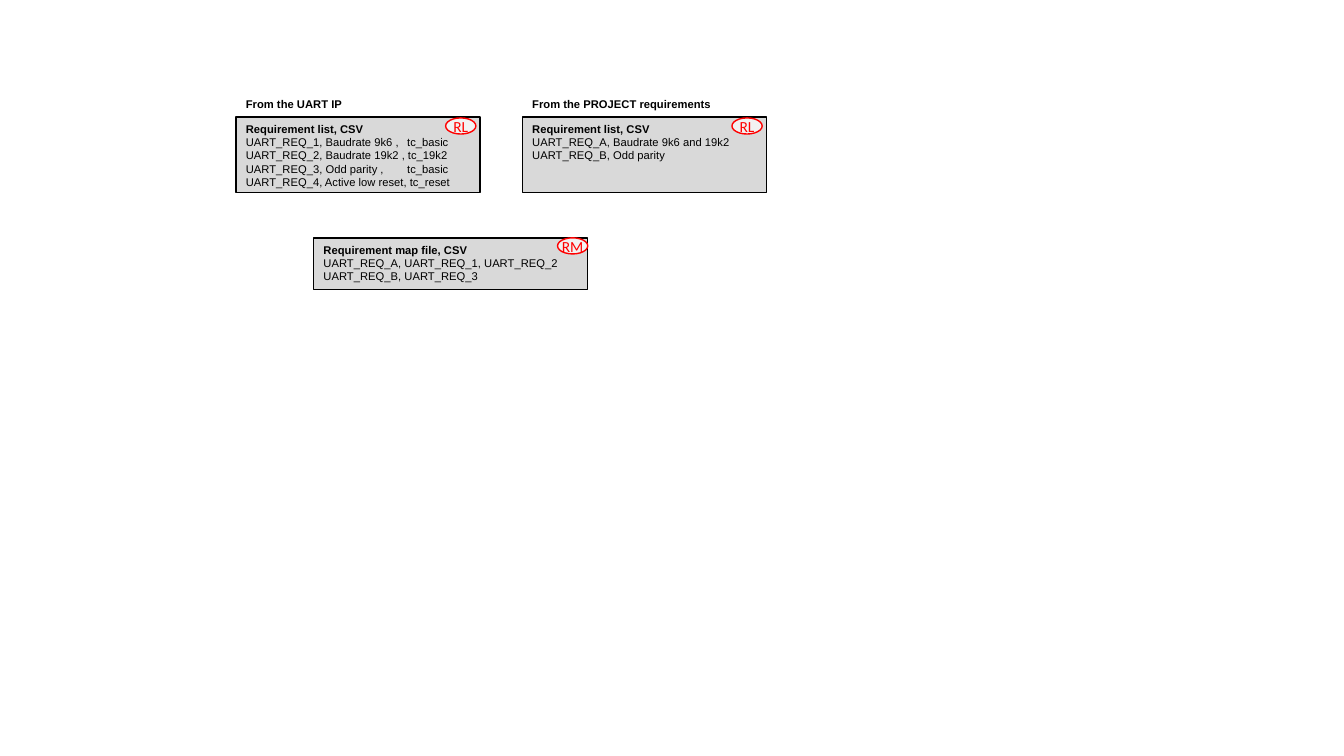
from dataclasses import dataclass
from lxml.etree import SubElement as Sub
from pptx import Presentation
from pptx.dml.color import RGBColor as Rgb
from pptx.enum.shapes import MSO_SHAPE as Form
from pptx.enum.text import MSO_ANCHOR as Anchor, PP_ALIGN as Align
from pptx.oxml.ns import qn
from pptx.util import Inches, Pt


@dataclass(frozen=True)
class Theme:
    ink: str = "000000"
    panel: str = "D9D9D9"
    badge: str = "F2F2F2"
    mark: str = "FF0000"
    body: str = "Arial"
    tag: str = "Calibri"
    small: int = 8
    large: int = 11
    edge: int = 1
    cell: float = 0.1


class Board:
    def __init__(self, slide, theme):
        self.slide, self.theme = slide, theme

    def area(self, *cells):
        return [Inches(n * self.theme.cell) for n in cells]

    def font(self, para, name, size, color, bold=False):
        font = para.font
        font.name, font.size, font.bold = name, Pt(size), bold
        font.color.rgb = Rgb.from_string(color)

    def shape(self, form, place, fill, line):
        item = self.slide.shapes.add_shape(form, *self.area(*place))
        item.shadow.inherit = False
        item.fill.solid()
        item.fill.fore_color.rgb = Rgb.from_string(fill)
        item.line.color.rgb = Rgb.from_string(line)
        item.line.width = Pt(self.theme.edge)
        return item.text_frame

    def stop(self, para, col):
        props = para._p.get_or_add_pPr()
        tabs = Sub(props, qn("a:tabLst"))
        Sub(tabs, qn("a:tab"), pos=str(self.area(col)[0]), algn="l")

    def panel(self, place, title, rows, col=16):
        look = self.theme
        frame = self.shape(Form.RECTANGLE, place, look.panel, look.ink)
        frame.word_wrap = True
        frame.vertical_anchor = Anchor.TOP
        for i, text in enumerate([title, *rows]):
            para = frame.add_paragraph() if i else frame.paragraphs[0]
            if "\t" in text:
                self.stop(para, col)
            para.add_run().text = text
            para.alignment = Align.LEFT
            self.font(para, look.body, look.small, look.ink, i == 0)

    def badge(self, place, text):
        look = self.theme
        frame = self.shape(Form.OVAL, place, look.badge, look.mark)
        frame.margin_left = frame.margin_right = 0
        frame.margin_top = frame.margin_bottom = 0
        frame.word_wrap = False
        frame.vertical_anchor = Anchor.MIDDLE
        para = frame.paragraphs[0]
        para.text, para.alignment = text, Align.CENTER
        self.font(para, look.tag, look.large, look.mark)

    def label(self, place, text):
        look = self.theme
        frame = self.slide.shapes.add_textbox(*self.area(*place)).text_frame
        frame.word_wrap = False
        para = frame.paragraphs[0]
        para.text, para.alignment = text, Align.LEFT
        self.font(para, look.body, look.small, look.ink, True)


deck = Presentation()
deck.slide_width, deck.slide_height = Inches(13.33), Inches(7.5)
board = Board(deck.slides.add_slide(deck.slide_layouts[6]), Theme())

lists = [
    ("From the UART IP", 11.6, [
        "UART_REQ_1, Baudrate 9k6 ,\ttc_basic",
        "UART_REQ_2, Baudrate 19k2 , tc_19k2",
        "UART_REQ_3, Odd parity ,\ttc_basic",
        "UART_REQ_4, Active low reset, tc_reset"]),
    ("From the PROJECT requirements", 19.9, [
        "UART_REQ_A, Baudrate 9k6 and 19k2",
        "UART_REQ_B, Odd parity"]),
]
left, top, step, wide = 23.4, 11.6, 28.4, 24.2
for i, (source, span, rows) in enumerate(lists):
    x = left + i * step
    board.panel((x, top, wide, 7.5), "Requirement list, CSV", rows)
    board.badge((x + wide - 3.4, top + 0.1, 3, 1.6), "RL")
    board.label((x, top - 2.4, span, 2.4), source)

left, top, wide = 31.1, 23.6, 27.2
board.panel((left, top, wide, 5.1), "Requirement map file, CSV", [
    "UART_REQ_A, UART_REQ_1, UART_REQ_2",
    "UART_REQ_B, UART_REQ_3"])
board.badge((left + wide - 3, top, 3, 1.6), "RM")

deck.save("out.pptx")
